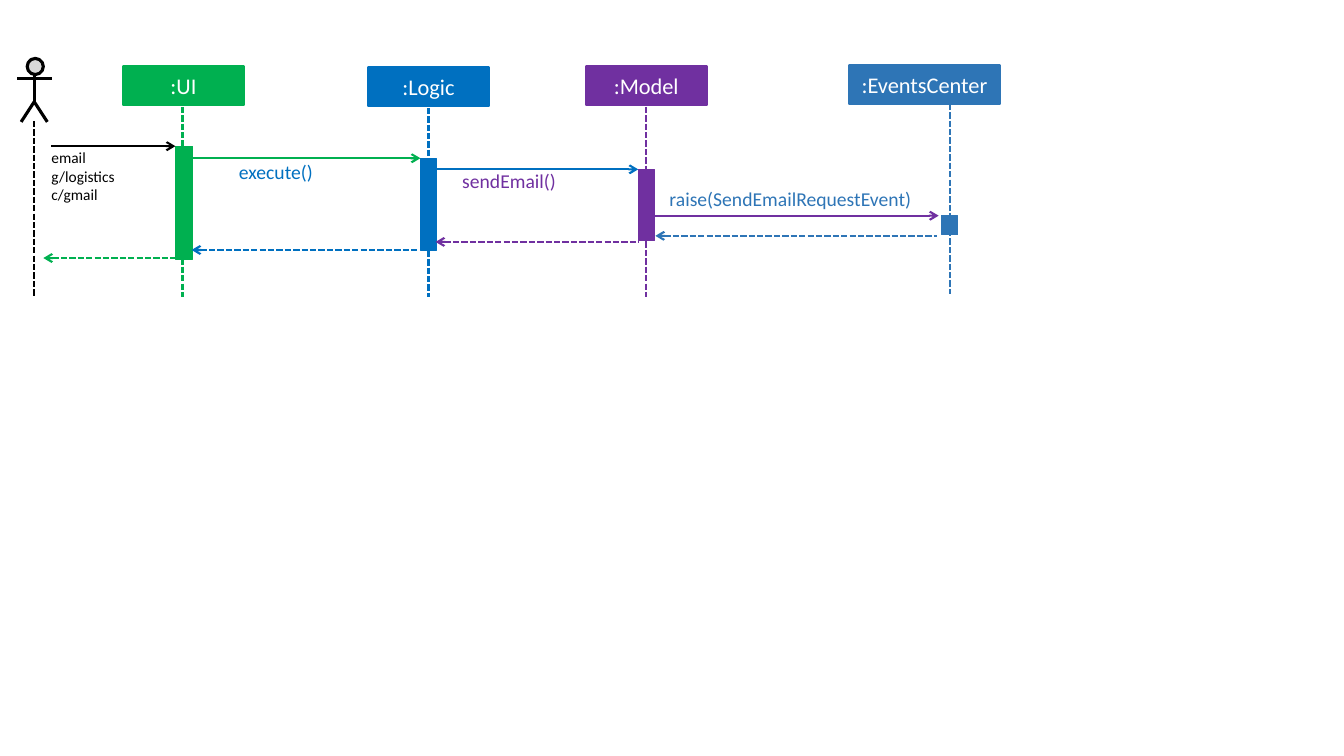
"""Build a sequence diagram slide for sending an email through the components."""
import pptx
import pptx.util
import pptx.dml.color
import pptx.enum.dml
import pptx.enum.shapes
import pptx.enum.text
import pptx.oxml
import pptx.oxml.ns

SCALE = 9144
FONT = "Calibri"
COLOURS = {
    "ui": "00B050", "logic": "0070C0", "model": "7030A0", "events": "2E75B6",
    "user": "000000", "face": "D9D9D9", "white": "FFFFFF",
}
HEAD_HEIGHT = 38
# name, colour, head (left, top, width), lifeline (x, top, bottom), bar (left, top, width, height)
PARTICIPANTS = [
    (":UI", "ui", (122, 66, 120), (181, 106, 295), (174, 145, 17, 112)),
    (":Logic", "logic", (365, 67, 120), (425, 107, 295), (417, 157, 16, 91)),
    (":Model", "model", (581, 66, 120), (641, 106, 295), (633, 168, 16, 71)),
    (":EventsCenter", "events", (842, 65, 150), (942, 103, 292), (934, 214, 16, 19)),
]
CALLS = [
    ("user", 51, 174, 145), ("ui", 190, 417, 157),
    ("logic", 432, 633, 168), ("model", 650, 931, 214),
]
RETURNS = [
    ("events", 650, 929, 234), ("model", 432, 633, 240),
    ("logic", 190, 415, 248), ("ui", 43, 174, 256),
]
LABELS = [
    ("email g/logistics c/gmail", "user", 11, "LEFT", (51, 147, 94, 56)),
    ("execute()", "logic", 14, "LEFT", (237, 159, 156, 24)),
    ("sendEmail()", "model", 14, "CENTER", (427, 168, 156, 24)),
    ("raise(SendEmailRequestEvent)", "events", 14, "LEFT", (664, 185, 267, 24)),
]
USER_LIFELINE = (34, 120, 295)
USER_FACE = (27, 58, 16, 16)
USER_LINES = [(34, 74, 34, 102), (17, 78, 52, 78)]
USER_LEGS = [(21, 121), (34, 101), (47, 121)]


def px(*lengths):
    return [pptx.util.Emu(length * SCALE) for length in lengths]


def rgb(colour):
    return pptx.dml.color.RGBColor.from_string(COLOURS[colour])


def style_line(line, colour, width):
    line.color.rgb = rgb(colour)
    line.width = pptx.util.Pt(width)


def add_box(shapes, kind, place, fill, outline, width):
    box = shapes.add_shape(kind, *px(*place))
    box.shadow.inherit = False
    box.fill.solid()
    box.fill.fore_color.rgb = rgb(fill)
    style_line(box.line, outline, width)
    return box


def add_line(shapes, ends, colour, width=1.5, dashed=False, arrow=None):
    line = shapes.add_connector(pptx.enum.shapes.MSO_CONNECTOR.STRAIGHT, *px(*ends))
    style_line(line.line, colour, width)
    if dashed:
        line.line.dash_style = pptx.enum.dml.MSO_LINE.SQUARE_DOT
    namespace = pptx.oxml.ns.nsdecls("a")
    if arrow:
        line.get_or_add_ln().append(
            pptx.oxml.parse_xml(f'<a:{arrow} {namespace} type="arrow"/>'))
    line._element.spPr.append(pptx.oxml.parse_xml(f"<a:effectLst {namespace}/>"))


def set_text(box, text, colour, size, align):
    frame = box.text_frame
    frame.word_wrap = True
    frame.text = text
    para = frame.paragraphs[0]
    para.alignment = getattr(pptx.enum.text.PP_ALIGN, align)
    font = para.runs[0].font
    font.name = FONT
    font.size = pptx.util.Pt(size)
    font.color.rgb = rgb(colour)


def add_participant(shapes, name, colour, head, lifeline, bar):
    rectangle = pptx.enum.shapes.MSO_SHAPE.RECTANGLE
    box = add_box(shapes, rectangle, (*head, HEAD_HEIGHT), colour, colour, 1.5)
    box.text_frame.vertical_anchor = pptx.enum.text.MSO_ANCHOR.MIDDLE
    set_text(box, name, "white", 16, "CENTER")
    x, top, bottom = lifeline
    add_line(shapes, (x, top, x, bottom), colour, dashed=True)
    add_box(shapes, rectangle, bar, colour, colour, 0.5)


def add_user(page):
    shapes = page.shapes.add_group_shape().shapes
    circle = pptx.enum.shapes.MSO_SHAPE.FLOWCHART_CONNECTOR
    add_box(shapes, circle, USER_FACE, "face", "user", 2.25)
    for ends in USER_LINES:
        add_line(shapes, ends, "user", 2.25)
    builder = shapes.build_freeform(*USER_LEGS[0], scale=SCALE)
    builder.add_line_segments(USER_LEGS[1:], close=False)
    legs = builder.convert_to_shape()
    legs.shadow.inherit = False
    legs.fill.background()
    style_line(legs.line, "user", 2.25)
    x, top, bottom = USER_LIFELINE
    add_line(page.shapes, (x, top, x, bottom), "user", dashed=True)


def add_label(shapes, text, colour, size, align, place):
    box = shapes.add_textbox(*px(*place))
    frame = box.text_frame
    frame.margin_left = frame.margin_right = frame.margin_top = frame.margin_bottom = 0
    set_text(box, text, colour, size, align)
    frame.auto_size = pptx.enum.text.MSO_AUTO_SIZE.SHAPE_TO_FIT_TEXT


def main():
    deck = pptx.Presentation()
    deck.slide_width, deck.slide_height = px(1333, 750)
    page = deck.slides.add_slide(deck.slide_layouts[6])
    add_user(page)
    for participant in PARTICIPANTS:
        add_participant(page.shapes, *participant)
    for colour, left, right, y in CALLS:
        add_line(page.shapes, (left, y, right, y), colour, arrow="tailEnd")
    for colour, left, right, y in RETURNS:
        add_line(page.shapes, (left, y, right, y), colour, dashed=True, arrow="headEnd")
    for label in LABELS:
        add_label(page.shapes, *label)
    deck.save("out.pptx")


if __name__ == "__main__":
    main()
